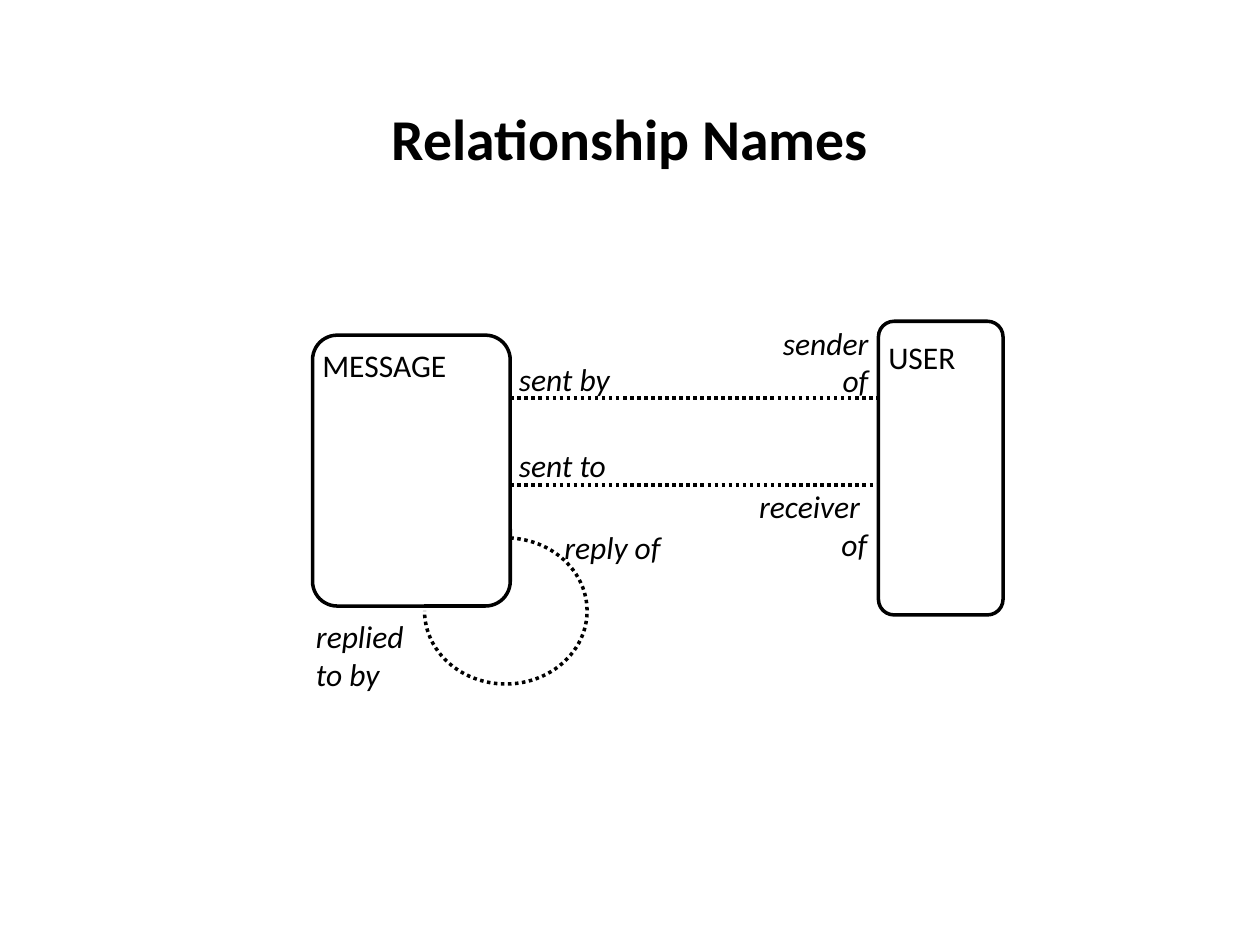
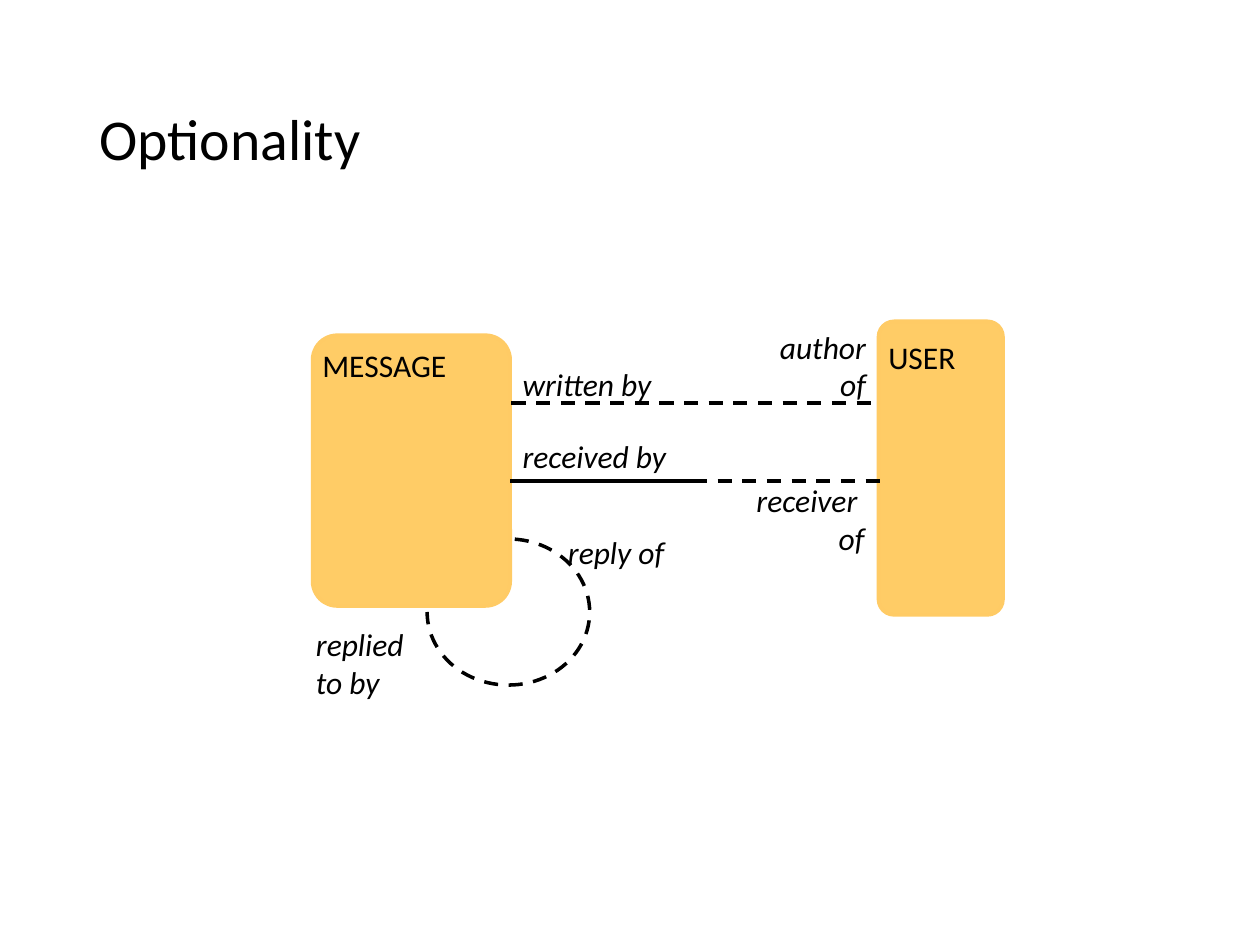
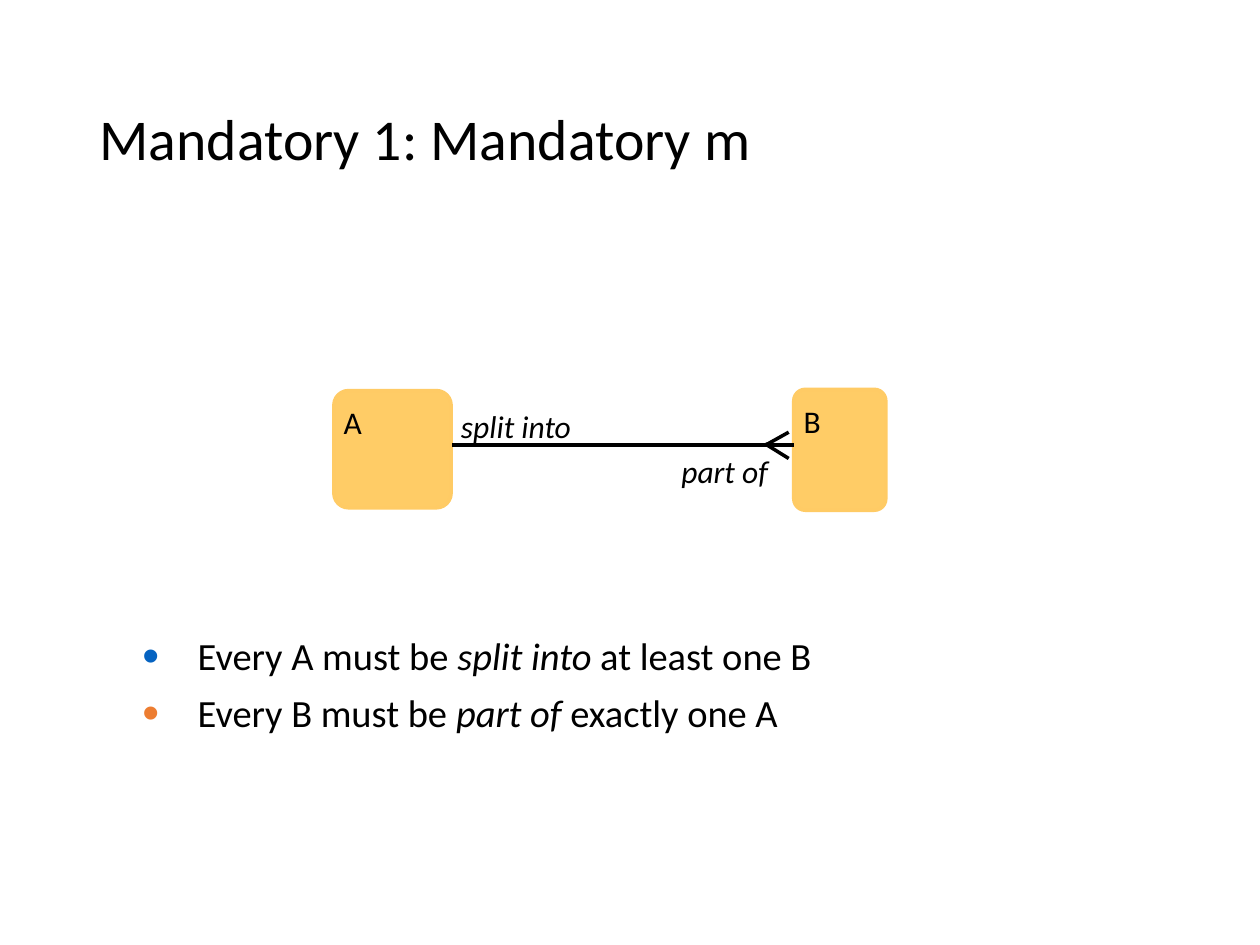
"""Build three slides on naming and optionality of entity relationships."""
from dataclasses import dataclass
from typing import Optional

from lxml import etree
from pptx import Presentation
from pptx.dml.color import RGBColor
from pptx.enum.dml import MSO_LINE
from pptx.enum.shapes import MSO_CONNECTOR, MSO_SHAPE
from pptx.enum.text import MSO_ANCHOR, MSO_AUTO_SIZE, PP_ALIGN
from pptx.oxml.ns import qn
from pptx.util import Pt

STRAIGHT = MSO_CONNECTOR.STRAIGHT
ROUNDED, ARC = MSO_SHAPE.ROUNDED_RECTANGLE, MSO_SHAPE.ARC
SOLID, DASH, DOT = MSO_LINE.SOLID, MSO_LINE.DASH, MSO_LINE.ROUND_DOT
LEFT, CENTER, RIGHT = PP_ALIGN.LEFT, PP_ALIGN.CENTER, PP_ALIGN.RIGHT
MIDDLE = MSO_ANCHOR.MIDDLE
NO_FIT, GROW = MSO_AUTO_SIZE.NONE, MSO_AUTO_SIZE.SHAPE_TO_FIT_TEXT

COLORS = {
    "ink": "000000",
    "entity": "FFCC66",
    "entity_line": "FFCB65",
    "bullet_a": "0563C1",
    "bullet_b": "ED7D31",
}
FONT = "Calibri"
TITLE_SIZE, LABEL_SIZE, BULLET_SIZE = 33, 18, 22
LINE_WIDTH = 2
ONE_LINE, TWO_LINES = 29, 50.6
TITLE_ONLY = 5


@dataclass
class Label:
    text: str
    left: float
    top: float
    width: float
    height: float = ONE_LINE
    align: PP_ALIGN = LEFT
    italic: bool = True


@dataclass
class Entity:
    name: str
    left: float
    top: float
    width: float
    height: float
    label_top: float
    label_width: float


@dataclass
class Link:
    x1: float
    y1: float
    x2: float
    y2: float
    dash: MSO_LINE = SOLID


@dataclass
class Loop:
    left: float
    top: float
    start: float
    dash: MSO_LINE
    width: float = 92.9
    height: float = 83.5
    end: float = 180


@dataclass
class Bullet:
    before: str
    name: str
    after: str
    color: str


USER = Entity("USER", 502, 183.6, 71.2, 167.8, 189.4, 72)
MESSAGE = Entity("MESSAGE", 178.6, 191.5, 113, 154.8, 194.4, 123.8)
ENTITY_A = Entity("A", 190.8, 223.2, 67, 67, 226.8, 49)
ENTITY_B = Entity("B", 453.6, 222.5, 52.6, 69.1, 226.1, 38.9)


def rgb(name: str) -> RGBColor:
    """Return a named colour."""
    return RGBColor.from_string(COLORS[name])


def style_font(font, size: float, bold: bool = False, italic: bool = False) -> None:
    """Apply the common typeface and colour."""
    font.name, font.size = FONT, Pt(size)
    font.bold, font.italic = bold, italic
    font.color.rgb = rgb("ink")


def style_line(line, color: str = "ink", dash: MSO_LINE = SOLID) -> None:
    """Apply the common line width with a colour and dash."""
    line.color.rgb = rgb(color)
    line.width = Pt(LINE_WIDTH)
    line.dash_style = dash


def add_slide(prs, title: str, align: PP_ALIGN = LEFT, bold: bool = False):
    """Add a slide with its formatted title."""
    s = prs.slides.add_slide(prs.slide_layouts[TITLE_ONLY])
    sp = s.shapes.title
    sp.left, sp.top, sp.width, sp.height = Pt(49.7), Pt(28.8), Pt(620.6), Pt(104.4)
    tf = sp.text_frame
    tf.text = title
    tf.vertical_anchor, tf.auto_size = MIDDLE, NO_FIT
    p = tf.paragraphs[0]
    p.alignment, p.line_spacing = align, 0.9
    style_font(p.runs[0].font, TITLE_SIZE, bold)
    return s


def add_text_frame(s, left: float, top: float, width: float, height: float):
    """Add a wrapping text box and return its text frame."""
    tf = s.shapes.add_textbox(Pt(left), Pt(top), Pt(width), Pt(height)).text_frame
    tf.word_wrap, tf.auto_size = True, GROW
    return tf


def add_label(s, label: Label) -> None:
    """Draw a relationship or entity name."""
    tf = add_text_frame(s, label.left, label.top, label.width, label.height)
    p = tf.paragraphs[0]
    p.text = label.text
    p.alignment = label.align
    for r in p.runs:
        style_font(r.font, LABEL_SIZE, italic=label.italic)


def add_entity(s, entity: Entity, fill: Optional[str] = "entity",
               line: str = "entity_line") -> None:
    """Draw a rounded entity box with its name."""
    sp = s.shapes.add_shape(ROUNDED, Pt(entity.left), Pt(entity.top),
                            Pt(entity.width), Pt(entity.height))
    sp.adjustments[0] = 0.125
    sp.shadow.inherit = False
    if fill:
        sp.fill.solid()
        sp.fill.fore_color.rgb = rgb(fill)
    else:
        sp.fill.background()
    style_line(sp.line, line)
    add_label(s, Label(entity.name, entity.left - 1.5, entity.label_top,
                       entity.label_width, italic=False))


def add_link(s, link: Link) -> None:
    """Draw a straight relationship line."""
    sp = s.shapes.add_connector(STRAIGHT, Pt(link.x1), Pt(link.y1),
                                Pt(link.x2), Pt(link.y2))
    style_line(sp.line, dash=link.dash)
    etree.SubElement(sp.element.spPr, qn("a:effectLst"))


def add_loop(s, loop: Loop) -> None:
    """Draw the arc of a relationship from an entity to itself."""
    sp = s.shapes.add_shape(ARC, Pt(loop.left), Pt(loop.top),
                            Pt(loop.width), Pt(loop.height))
    for i, degrees in enumerate((loop.start, loop.end)):
        sp.adjustments[i] = degrees * 0.6
    sp.shadow.inherit = False
    sp.fill.background()
    style_line(sp.line, dash=loop.dash)


def add_bullet_marks(p, color: str) -> None:
    """Give a paragraph a coloured bullet, hanging indent and tab stop."""
    pPr = p._p.get_or_add_pPr()
    pPr.set("marL", str(Pt(31.7)))
    pPr.set("indent", str(-Pt(31.7)))
    clr = etree.SubElement(pPr, qn("a:buClr"))
    etree.SubElement(clr, qn("a:srgbClr"), val=COLORS[color])
    etree.SubElement(pPr, qn("a:buSzPct"), val="125000")
    etree.SubElement(pPr, qn("a:buFont"), typeface="Arial")
    etree.SubElement(pPr, qn("a:buChar"), char="•")
    tabs = etree.SubElement(pPr, qn("a:tabLst"))
    etree.SubElement(tabs, qn("a:tab"), pos=str(Pt(44.6)), algn="l")


def add_bullets(s, bullets: list[Bullet]) -> None:
    """Write the sentences that read a relationship in both directions."""
    tf = add_text_frame(s, 74.2, 359.3, 581.8, 66.2)
    for i, bullet in enumerate(bullets):
        p = tf.add_paragraph() if i else tf.paragraphs[0]
        add_bullet_marks(p, bullet.color)
        p.line_spacing = 0.95
        if i:
            p.space_before = Pt(7.7)
        for text in (bullet.before, bullet.name, bullet.after):
            r = p.add_run()
            r.text = text
            style_font(r.font, BULLET_SIZE, italic=text == bullet.name)


def add_diagram(s, links: list[Link], labels: list[Label],
                loop: Optional[Loop] = None) -> None:
    """Draw the lines and names between entities."""
    for link in links:
        add_link(s, link)
    if loop:
        add_loop(s, loop)
    for label in labels:
        add_label(s, label)


def names_slide(prs) -> None:
    """Build the slide on relationship names."""
    s = add_slide(prs, "Relationship Names", CENTER, bold=True)
    for entity in (USER, MESSAGE):
        add_entity(s, entity, None, "ink")
    add_diagram(s, [
        Link(291.6, 277.2, 502.6, 277.2, DOT),
        Link(291.6, 227.5, 398.2, 227.5, DOT),
        Link(396, 227.5, 502.6, 227.5, DOT),
    ], [
        Label("sent by", 289.4, 202.3, 122.4),
        Label("sender of", 424.8, 181.4, 78.5, TWO_LINES, RIGHT),
        Label("reply of", 315.4, 298.1, 88.6),
        Label("replied to by", 173.5, 349.2, 77, TWO_LINES),
        Label("sent to", 289.4, 251.3, 122.4),
        Label("receiver \vof", 380.2, 275, 122.4, TWO_LINES, RIGHT),
    ], Loop(242.6, 307.4, 273.5, DOT))


def optionality_slide(prs) -> None:
    """Build the slide on optional relationships."""
    s = add_slide(prs, "Optionality")
    for entity in (USER, MESSAGE):
        add_entity(s, entity)
    add_diagram(s, [
        Link(291.6, 275, 398.2, 275),
        Link(396, 275, 502.6, 275, DASH),
        Link(292.3, 230.4, 499.7, 230.4, DASH),
    ], [
        Label("written by", 291.6, 205.2, 122.4),
        Label("author of", 423.4, 183.6, 78.5, TWO_LINES, RIGHT),
        Label("reply of", 317.5, 301, 88.6),
        Label("replied to by", 173.5, 353.5, 77, TWO_LINES),
        Label("received by", 291.6, 246.2, 122.4),
        Label("receiver \vof", 378.7, 271.4, 122.4, TWO_LINES, RIGHT),
    ], Loop(244.1, 308, 275, DASH))


def mandatory_slide(prs) -> None:
    """Build the slide on a relationship mandatory at both ends."""
    s = add_slide(prs, "Mandatory 1: Mandatory m")
    for entity in (ENTITY_A, ENTITY_B):
        add_entity(s, entity)
    add_diagram(s, [
        Link(453.6, 254.2, 258.5, 254.2),
        Link(450.7, 247, 437.8, 254.2),
        Link(450.7, 262, 437.2, 253.6),
    ], [
        Label("split into", 256.3, 229, 109.4),
        Label("part of ", 371.5, 254.9, 78.5, align=RIGHT),
    ])
    add_bullets(s, [
        Bullet("Every A must be ", "split into", " at least one B", "bullet_a"),
        Bullet("Every B must be ", "part of", " exactly one A", "bullet_b"),
    ])


def main() -> None:
    """Build and save the presentation."""
    prs = Presentation()
    prs.slide_width, prs.slide_height = Pt(720), Pt(540)
    names_slide(prs)
    optionality_slide(prs)
    mandatory_slide(prs)
    prs.save("out.pptx")


if __name__ == "__main__":
    main()
